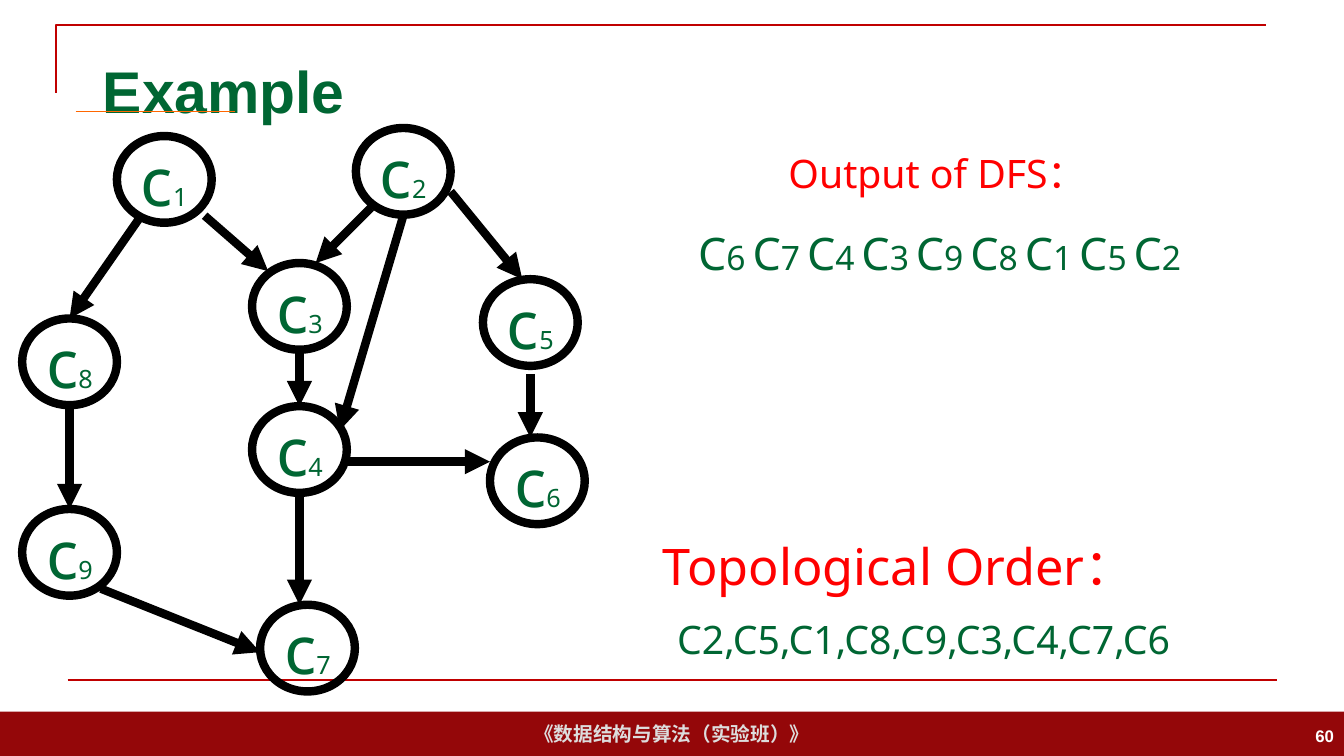
from pptx import Presentation
from pptx.dml.color import RGBColor
from pptx.enum.shapes import MSO_CONNECTOR as Conn, MSO_SHAPE as Shape
from pptx.enum.text import MSO_ANCHOR as Anchor, MSO_AUTO_SIZE as Fit, PP_ALIGN as Align
from pptx.oxml.ns import qn
from pptx.util import Inches, Pt
from lxml.etree import SubElement

# Content
TITLE = "Example"
COURSE = "《数据结构与算法（实验班）》"
PAGE = "60"
NODES = {  # course number: left, top
    "1": (1.16, 1.35), "2": (3.53, 1.27), "8": (0.22, 3.16),
    "9": (0.22, 5.05), "5": (4.79, 2.77), "3": (2.5, 2.61),
    "7": (2.58, 6), "4": (2.5, 4.03), "6": (4.86, 4.34),
}
EDGES = [  # start, end
    ((2.03, 2.14), (2.66, 2.69)), ((1.4, 2.14), (0.69, 3.16)),
    ((0.69, 4.03), (0.69, 5.05)), ((1, 5.84), (2.58, 6.47)),
    ((2.97, 3.48), (2.97, 4.03)), ((2.97, 4.9), (2.97, 6)),
    ((3.45, 4.58), (4.86, 4.58)), ((3.68, 2.06), (3.13, 2.61)),
    ((4.47, 1.9), (5.18, 2.77)), ((5.26, 3.71), (5.26, 4.34)),
    ((4, 2.14), (3.37, 4.27)),
]
VISITS = "674398152"
NOTES = [  # text, box, size, colour
    ("Output of DFS：", (6.72, 1.43, 5.16, 0.57), 28, "red"),
    ("Topological Order：", (5.18, 5.26, 7.47, 0.71), 36, "red"),
    ("C2,C5,C1,C8,C9,C3,C4,C7,C6", (5.26, 6.06, 7.8, 0.57), 28, "green"),
]
COLORS = {"green": "006633", "red": "FF0000", "rule": "C00000", "bar": "940709",
          "orange": "FF6600", "black": "000000", "white": "FFFFFF", "pale": "DDDDDD"}
SANS, ARIAL = "Noto Sans", "Arial"
NODE_W, NODE_H = 0.94, 0.86
VISIT_X, VISIT_Y, VISIT_W, STEP = 6.66, 2.19, 1, 0.54


def color(name):
    return RGBColor.from_string(COLORS[name])


def write(shape, runs, tint, font=SANS, align=Align.CENTER, bold=False,
          wrap=True, anchor=Anchor.MIDDLE):
    frame = shape.text_frame
    frame.auto_size = Fit.NONE
    frame.word_wrap = wrap
    frame.vertical_anchor = anchor
    para = frame.paragraphs[0]
    para.alignment = align
    for text, size in runs:
        run = para.add_run()
        run.text = text
        run.font.name = font
        run.font.size = Pt(size)
        run.font.bold = bold
        run.font.color.rgb = color(tint)


def label(slide, box, runs, tint, **opts):
    write(slide.shapes.add_textbox(*map(Inches, box)), runs, tint, **opts)


def stroke(shape, tint, width):
    shape.line.color.rgb = color(tint)
    shape.line.width = Pt(width)


def link(slide, start, end, tint, width, arrow=False):
    line = slide.shapes.add_connector(Conn.STRAIGHT, *map(Inches, start + end))
    stroke(line, tint, width)
    if arrow:
        SubElement(line.line._get_or_add_ln(), qn("a:tailEnd"), type="triangle")
    SubElement(line._element.spPr, qn("a:effectLst"))


def frame_page(slide):
    # Footer bar, corner rule and bottom rule
    bar = slide.shapes.add_shape(Shape.RECTANGLE, *map(Inches, (0, 7.06, 13.33, 0.44)))
    bar.shadow.inherit = False
    bar.fill.solid()
    bar.fill.fore_color.rgb = color("bar")
    bar.line.fill.background()
    write(bar, [(COURSE, 14)], "pale", font=ARIAL, bold=True, wrap=False)

    pen = slide.shapes.build_freeform(Inches(0.56), Inches(0.92), scale=1.0)
    pen.add_line_segments([(Inches(0.56), Inches(0.25)),
                           (Inches(12.56), Inches(0.25))], close=False)
    corner = pen.convert_to_shape()
    corner.shadow.inherit = False
    corner.fill.background()
    stroke(corner, "rule", 1.5)
    link(slide, (0.67, 6.75), (12.67, 6.75), "rule", 1.5)

    # Title and page number
    title = slide.shapes.title
    title.left, title.top, title.width, title.height = map(Inches, (0.92, 0.4, 11.5, 0.99))
    write(title, [(TITLE, 42)], "green", font=ARIAL, align=Align.LEFT, bold=True)
    label(slide, (10.33, 7.1, 3, 0.4), [(PAGE, 12)], "white",
          font=ARIAL, align=Align.RIGHT, bold=True)
    link(slide, (0.75, 1.11), (2.33, 1.11), "orange", 0.75)


def draw_graph(slide):
    for num, (left, top) in NODES.items():
        node = slide.shapes.add_shape(Shape.OVAL, *map(Inches, (left, top, NODE_W, NODE_H)))
        node.shadow.inherit = False
        node.fill.background()
        stroke(node, "black", 6)
        write(node, [("c", 48), (num, 18)], "green", wrap=False)
    for start, end in EDGES:
        link(slide, start, end, "black", 6, arrow=True)


def list_orders(slide):
    for i, num in enumerate(VISITS):
        label(slide, (VISIT_X + i * STEP, VISIT_Y, VISIT_W, 0.63),
              [("C", 32), (num, 24)], "green", anchor=Anchor.TOP)
    for text, box, size, tint in NOTES:
        label(slide, box, [(text, size)], tint, anchor=Anchor.TOP)


def main():
    deck = Presentation()
    deck.slide_width, deck.slide_height = Inches(13.33), Inches(7.5)
    slide = deck.slides.add_slide(deck.slide_layouts[5])
    frame_page(slide)
    draw_graph(slide)
    list_orders(slide)
    deck.save("out.pptx")


if __name__ == "__main__":
    main()
